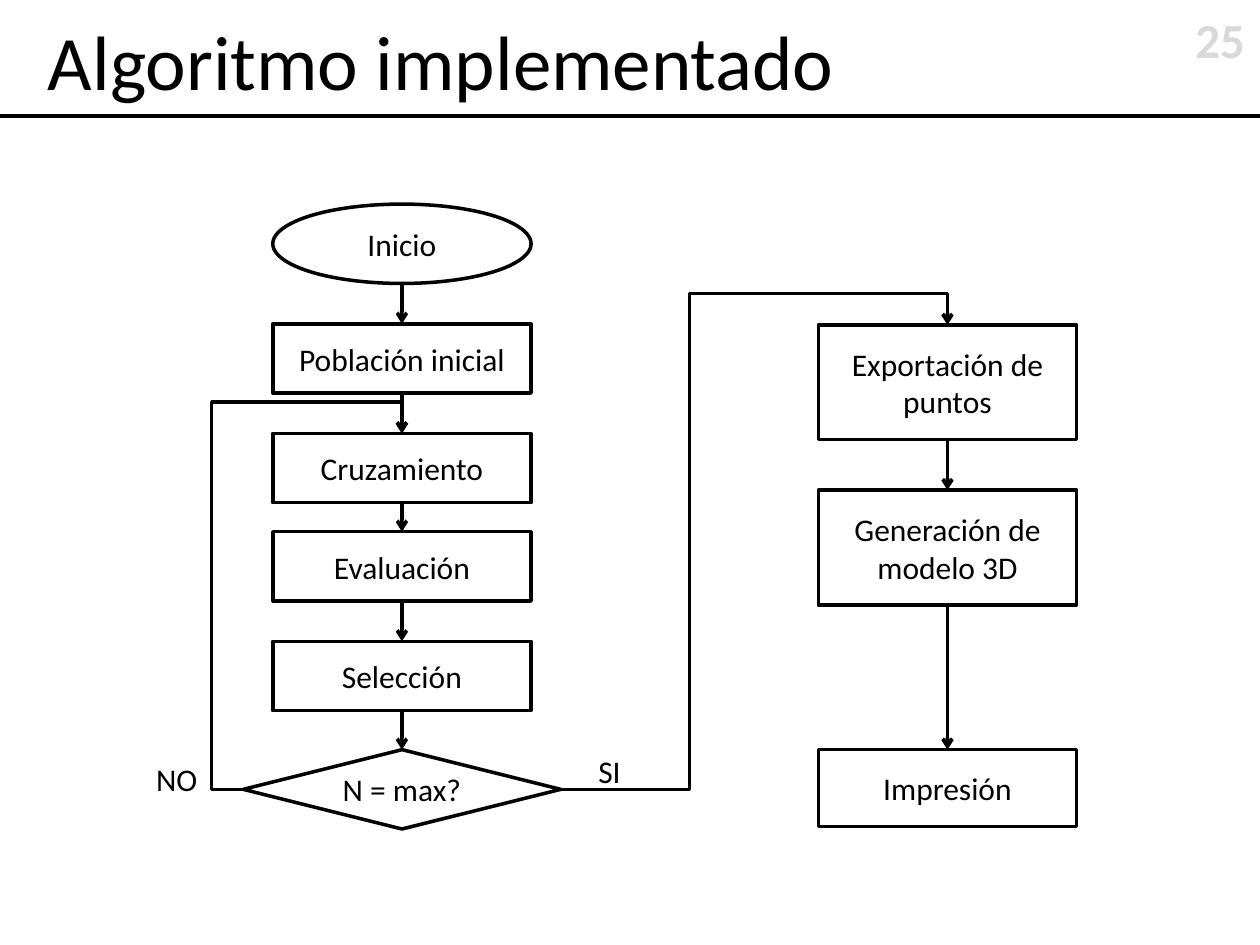
from pptx import Presentation
from pptx.dml.color import RGBColor
from pptx.enum.shapes import MSO_CONNECTOR as Link, MSO_SHAPE as Form
from pptx.enum.text import MSO_ANCHOR as Anchor, PP_ALIGN as Align
from pptx.oxml.ns import qn
from pptx.util import Inches, Pt
from lxml.etree import SubElement

COLORS = {"ink": "000000", "paper": "FFFFFF", "number": "D9D9D9"}
TOP, LEFT, BOTTOM, RIGHT = range(4)


def write(shape, text, size=18, color="ink", align=Align.LEFT, bold=False):
    frame = shape.text_frame
    frame.word_wrap = True
    frame.text = text
    par = frame.paragraphs[0]
    par.alignment = align
    par.font.name = "Calibri"
    par.font.size = Pt(size)
    par.font.bold = bold
    par.font.color.rgb = RGBColor.from_string(COLORS[color])


def join(kind, x1, y1, x2, y2, width=2, arrow=True):
    line = slide.shapes.add_connector(
        kind, Inches(x1), Inches(y1), Inches(x2), Inches(y2))
    line.line.color.rgb = RGBColor.from_string(COLORS["ink"])
    line.line.width = Pt(width)
    if arrow:
        SubElement(line.line._get_or_add_ln(), qn("a:tailEnd"), type="arrow")
    SubElement(line._element.spPr, qn("a:effectLst"))
    return line


prs = Presentation()
prs.slide_width, prs.slide_height = Inches(10), Inches(7.5)
slide = prs.slides.add_slide(prs.slide_layouts[5])

title = slide.shapes.title
title.left, title.top = Inches(0.28), Inches(0.05)
title.width, title.height = Inches(9.45), Inches(0.85)
write(title, "Algoritmo implementado", 44)
title.text_frame.vertical_anchor = Anchor.MIDDLE
join(Link.STRAIGHT, 0, 0.92, 10, 0.92, 2.25, False)

labels = [
    ("25", 9.35, 0.03, 0.63, 0.57, 28, "number", Align.RIGHT, True),
    ("SI", 4.65, 5.92, 0.39, 0.4, 18, "ink", Align.LEFT, False),
    ("NO", 1.14, 5.98, 0.63, 0.4, 18, "ink", Align.LEFT, False),
]
for text, x, y, w, h, *style in labels:
    box = slide.shapes.add_textbox(Inches(x), Inches(y), Inches(w), Inches(h))
    write(box, text, *style)

columns = [
    (3.19, [
        ("Inicio", Form.OVAL, 1.62, 2.05, 0.63),
        ("Población inicial", Form.RECTANGLE, 2.57, 2.05, 0.55),
        ("Cruzamiento", Form.RECTANGLE, 3.44, 2.05, 0.55),
        ("Evaluación", Form.RECTANGLE, 4.22, 2.05, 0.55),
        ("Selección", Form.RECTANGLE, 5.09, 2.05, 0.55),
        ("N = max?", Form.FLOWCHART_DECISION, 5.95, 2.52, 0.63),
    ]),
    (7.52, [
        ("Exportación de puntos", Form.RECTANGLE, 2.58, 2.05, 0.91),
        ("Generación de modelo 3D", Form.RECTANGLE, 3.89, 2.05, 0.91),
        ("Impresión", Form.RECTANGLE, 5.95, 2.05, 0.61),
    ]),
]
steps = {}
for mid, items in columns:
    last = None
    for text, form, y, w, h in items:
        step = slide.shapes.add_shape(
            form, Inches(mid - w / 2), Inches(y), Inches(w), Inches(h))
        step.shadow.inherit = False
        step.fill.solid()
        step.fill.fore_color.rgb = RGBColor.from_string(COLORS["paper"])
        step.line.color.rgb = RGBColor.from_string(COLORS["ink"])
        step.line.width = Pt(2)
        write(step, text, align=Align.CENTER)
        step.text_frame.vertical_anchor = Anchor.MIDDLE
        if last:
            arrow = join(Link.STRAIGHT, mid, end, mid, y)
            if last.auto_shape_type != Form.OVAL:
                arrow.begin_connect(last, BOTTOM)
            arrow.end_connect(step, TOP)
        steps[text] = last = step
        end = y + h

bends = [
    (LEFT, "Cruzamiento", 1.93, 3.19, 3.44, -19800, 108800),
    (RIGHT, "Exportación de puntos", 4.45, 7.52, 2.58, 33300, 106800),
]
for side, goal, x1, x2, y2, *turns in bends:
    bend = join(Link.ELBOW, x1, 6.27, x2, y2)
    bend.begin_connect(steps["N = max?"], side)
    bend.end_connect(steps[goal], TOP)
    geom = bend._element.spPr.find(qn("a:prstGeom"))
    geom.set("prst", "bentConnector4")
    guides = geom.find(qn("a:avLst"))
    for i, turn in enumerate(turns, 1):
        SubElement(guides, qn("a:gd"), name=f"adj{i}", fmla=f"val {turn}")

prs.save("out.pptx")
